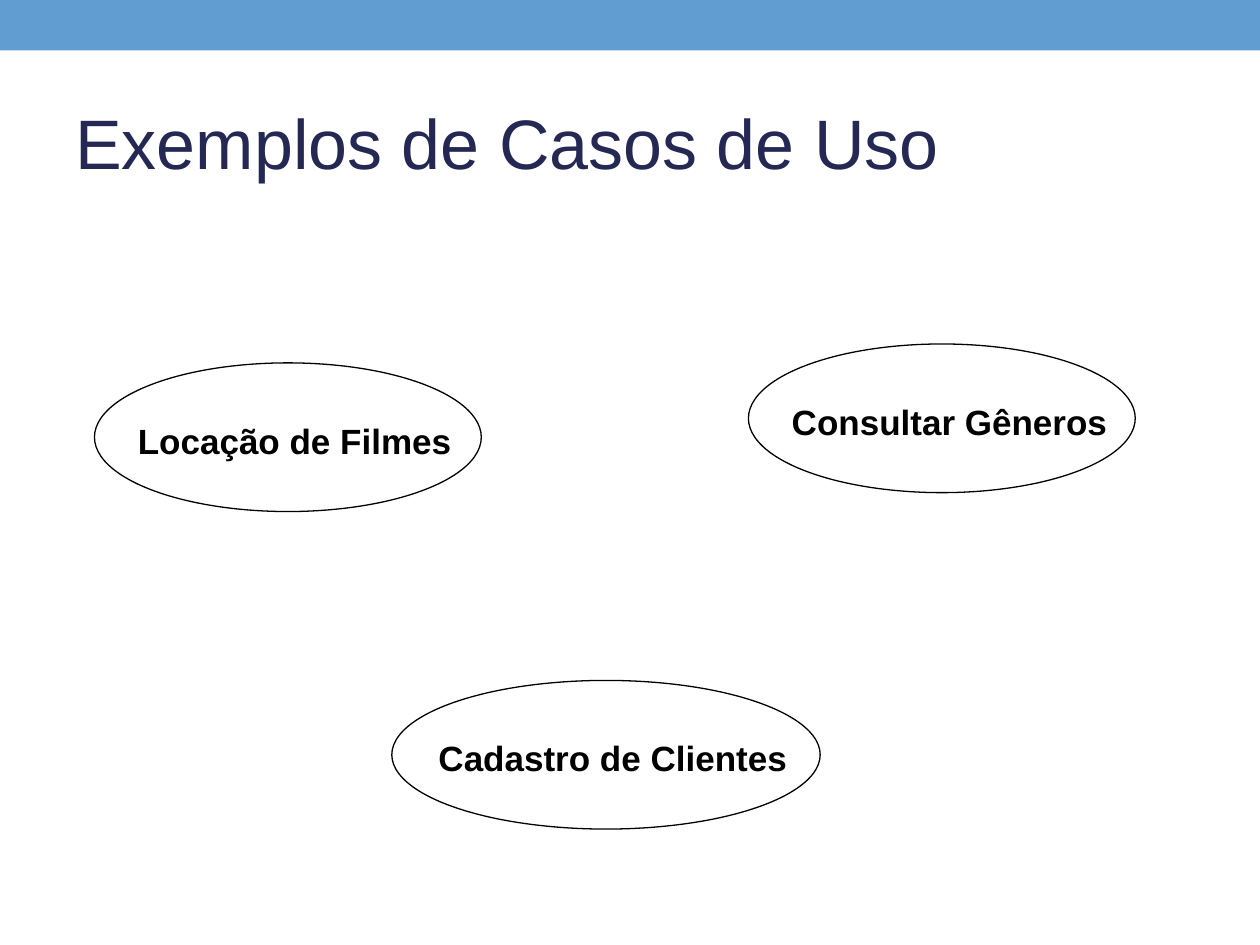
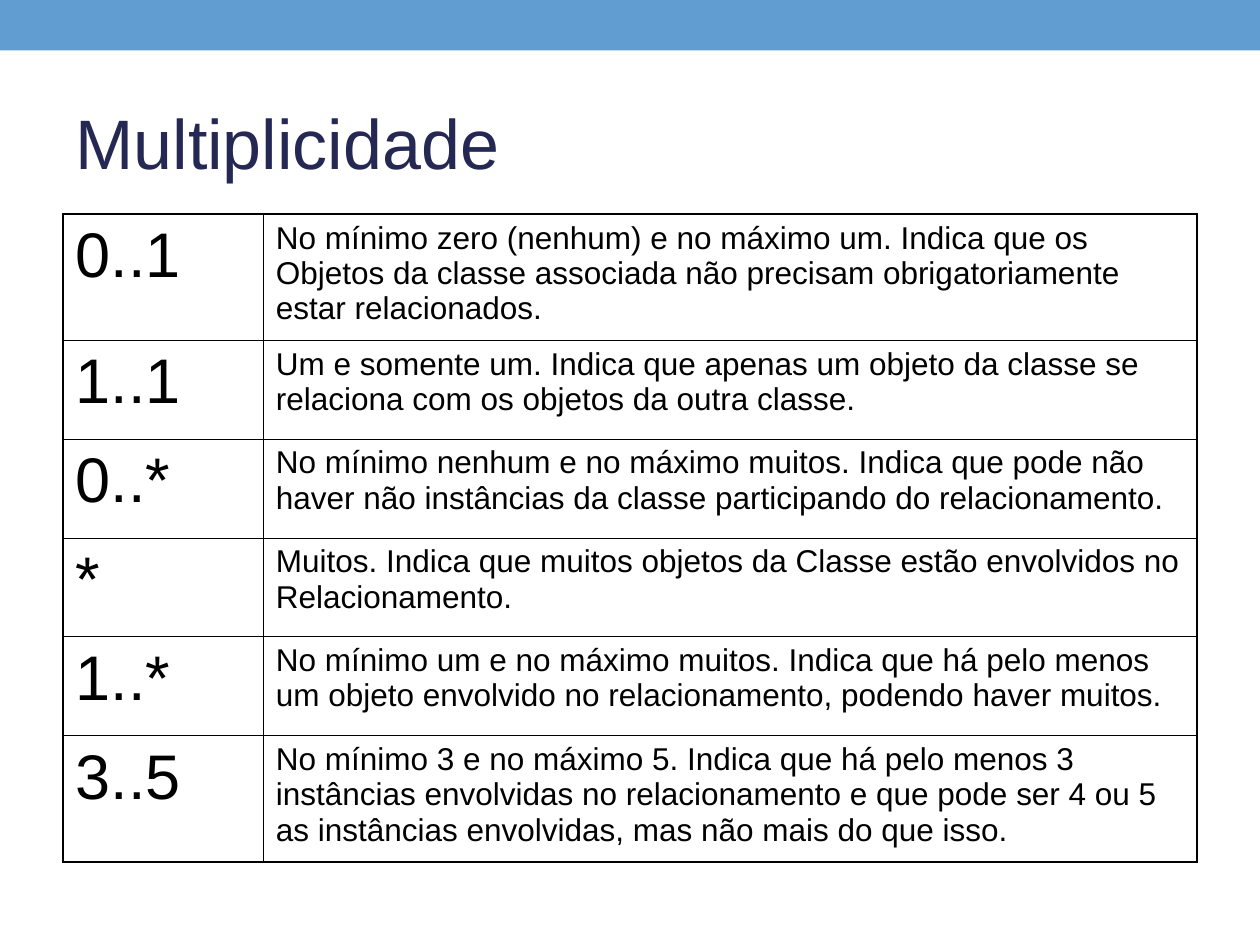
import dataclasses

import lxml.etree
import pptx
import pptx.dml.color
import pptx.enum.shapes
import pptx.enum.text
import pptx.oxml.ns
import pptx.presentation
import pptx.slide
import pptx.table
import pptx.text.text
import pptx.util

GRID_COLUMNS = 100
GRID_ROWS = 75
SLIDE_WIDTH = pptx.util.Inches(10)
SLIDE_HEIGHT = pptx.util.Inches(7.5)

FONT = "Arial"
BAND_COLOUR = "629DD1"
TITLE_COLOUR = "242852"
INK = "000000"
PAPER = "FFFFFF"

LABEL_INDENT_SHARE = 0.08
LABEL_WIDTH_SHARE = 0.9
LABEL_DROP_ROWS = 4
LABEL_ROWS = 4.4

OUTER_BORDER = 1.08
INNER_BORDER = 0.45


@dataclasses.dataclass(frozen=True)
class Area:
    column: float
    row: float
    columns: float
    rows: float

    def box(self) -> tuple[int, int, int, int]:
        return across(self.column), down(self.row), across(self.columns), down(self.rows)


@dataclasses.dataclass(frozen=True)
class TextStyle:
    size: float
    colour: str = INK
    bold: bool = False
    space_before: float = 0


@dataclasses.dataclass(frozen=True)
class UseCase:
    name: str
    area: Area


@dataclasses.dataclass(frozen=True)
class Multiplicity:
    symbol: str
    meaning: str
    rows: float


BAND_AREA = Area(0, 0, GRID_COLUMNS, 4)
TITLE_AREA = Area(5, 5.8, 90, 10.8)
TABLE_AREA = Area(5, 17, 90, 51.4)
TABLE_COLUMNS = (15.9, 74.1)

TITLE_STYLE = TextStyle(40, TITLE_COLOUR)
USE_CASE_STYLE = TextStyle(20, bold=True)
SYMBOL_STYLE = TextStyle(36, space_before=9)
MEANING_STYLE = TextStyle(18, space_before=4.5)

USE_CASES = (
    UseCase("Locação de Filmes", Area(7.5, 28.8, 30.7, 11.8)),
    UseCase("Cadastro de Clientes", Area(31.1, 54, 34, 11.8)),
    UseCase("Consultar Gêneros", Area(59.4, 27.3, 30.7, 11.8)),
)

MULTIPLICITIES = (
    Multiplicity(
        "0..1",
        "No mínimo zero (nenhum) e no máximo um. Indica que os Objetos da classe "
        "associada não precisam obrigatoriamente estar relacionados.",
        10,
    ),
    Multiplicity(
        "1..1",
        "Um e somente um. Indica que apenas um objeto da classe se relaciona "
        "com os objetos da outra classe.",
        7.85,
    ),
    Multiplicity(
        "0..*",
        "No mínimo nenhum e no máximo muitos. Indica que pode não haver não "
        "instâncias da classe participando do relacionamento.",
        7.85,
    ),
    Multiplicity(
        "*",
        "Muitos. Indica que muitos objetos da Classe estão envolvidos no Relacionamento.",
        7.85,
    ),
    Multiplicity(
        "1..*",
        "No mínimo um e no máximo muitos. Indica que há pelo menos um objeto "
        "envolvido no relacionamento, podendo haver muitos.",
        7.85,
    ),
    Multiplicity(
        "3..5",
        "No mínimo 3 e no máximo 5. Indica que há pelo menos 3 instâncias envolvidas "
        "no relacionamento e que pode ser 4 ou 5 as instâncias envolvidas, "
        "mas não mais do que isso.",
        10,
    ),
)


def across(columns: float) -> int:
    return round(SLIDE_WIDTH * columns / GRID_COLUMNS)


def down(rows: float) -> int:
    return round(SLIDE_HEIGHT * rows / GRID_ROWS)


def colour(value: str) -> pptx.dml.color.RGBColor:
    return pptx.dml.color.RGBColor.from_string(value)


def write(frame: pptx.text.text.TextFrame, text: str, style: TextStyle) -> None:
    paragraph = frame.paragraphs[0]
    paragraph.alignment = pptx.enum.text.PP_ALIGN.LEFT
    paragraph.space_before = pptx.util.Pt(style.space_before)
    run = paragraph.add_run()
    run.text = text
    run.font.name = FONT
    run.font.size = pptx.util.Pt(style.size)
    run.font.bold = style.bold
    run.font.color.rgb = colour(style.colour)


def add_titled_slide(presentation: pptx.presentation.Presentation, title: str) -> pptx.slide.Slide:
    slide = presentation.slides.add_slide(presentation.slide_layouts[6])
    band = slide.shapes.add_shape(pptx.enum.shapes.MSO_SHAPE.RECTANGLE, *BAND_AREA.box())
    band.shadow.inherit = False
    band.fill.solid()
    band.fill.fore_color.rgb = colour(BAND_COLOUR)
    band.line.fill.background()
    frame = slide.shapes.add_textbox(*TITLE_AREA.box()).text_frame
    frame.word_wrap = True
    frame.vertical_anchor = pptx.enum.text.MSO_ANCHOR.MIDDLE
    write(frame, title, TITLE_STYLE)
    return slide


def draw_use_case(slide: pptx.slide.Slide, use_case: UseCase) -> None:
    area = use_case.area
    group = slide.shapes.add_group_shape()
    ellipse = group.shapes.add_shape(pptx.enum.shapes.MSO_SHAPE.OVAL, *area.box())
    ellipse.shadow.inherit = False
    ellipse.fill.background()
    ellipse.line.color.rgb = colour(INK)
    ellipse.line.width = pptx.util.Pt(0.75)
    label_area = Area(
        area.column + area.columns * LABEL_INDENT_SHARE,
        area.row + LABEL_DROP_ROWS,
        area.columns * LABEL_WIDTH_SHARE,
        LABEL_ROWS,
    )
    frame = group.shapes.add_textbox(*label_area.box()).text_frame
    frame.word_wrap = False
    frame.auto_size = pptx.enum.text.MSO_AUTO_SIZE.SHAPE_TO_FIT_TEXT
    write(frame, use_case.name, USE_CASE_STYLE)


def set_border(cell: pptx.table._Cell, side: str, width: float) -> None:
    properties = cell._tc.get_or_add_tcPr()
    line = lxml.etree.SubElement(
        properties, pptx.oxml.ns.qn(f"a:ln{side}"), w=str(pptx.util.Pt(width))
    )
    fill = lxml.etree.SubElement(line, pptx.oxml.ns.qn("a:solidFill"))
    lxml.etree.SubElement(fill, pptx.oxml.ns.qn("a:srgbClr"), val=INK)


def fill_cell(cell: pptx.table._Cell, text: str, style: TextStyle, outer_sides: str) -> None:
    for side in "LRTB":
        set_border(cell, side, OUTER_BORDER if side in outer_sides else INNER_BORDER)
    cell.fill.solid()
    cell.fill.fore_color.rgb = colour(PAPER)
    write(cell.text_frame, text, style)


def draw_multiplicity_table(slide: pptx.slide.Slide) -> None:
    table = slide.shapes.add_table(
        len(MULTIPLICITIES), len(TABLE_COLUMNS), *TABLE_AREA.box()
    ).table
    table.first_row = False
    table.horz_banding = False
    for column, columns in zip(table.columns, TABLE_COLUMNS):
        column.width = across(columns)
    last = len(MULTIPLICITIES) - 1
    for index, multiplicity in enumerate(MULTIPLICITIES):
        table.rows[index].height = down(multiplicity.rows)
        edge = {0: "T", last: "B"}.get(index, "")
        fill_cell(table.cell(index, 0), multiplicity.symbol, SYMBOL_STYLE, "L" + edge)
        fill_cell(table.cell(index, 1), multiplicity.meaning, MEANING_STYLE, "R" + edge)


def main() -> None:
    presentation = pptx.Presentation()
    presentation.slide_width = SLIDE_WIDTH
    presentation.slide_height = SLIDE_HEIGHT
    use_case_slide = add_titled_slide(presentation, "Exemplos de Casos de Uso")
    for use_case in USE_CASES:
        draw_use_case(use_case_slide, use_case)
    draw_multiplicity_table(add_titled_slide(presentation, "Multiplicidade"))
    presentation.save("out.pptx")


if __name__ == "__main__":
    main()
